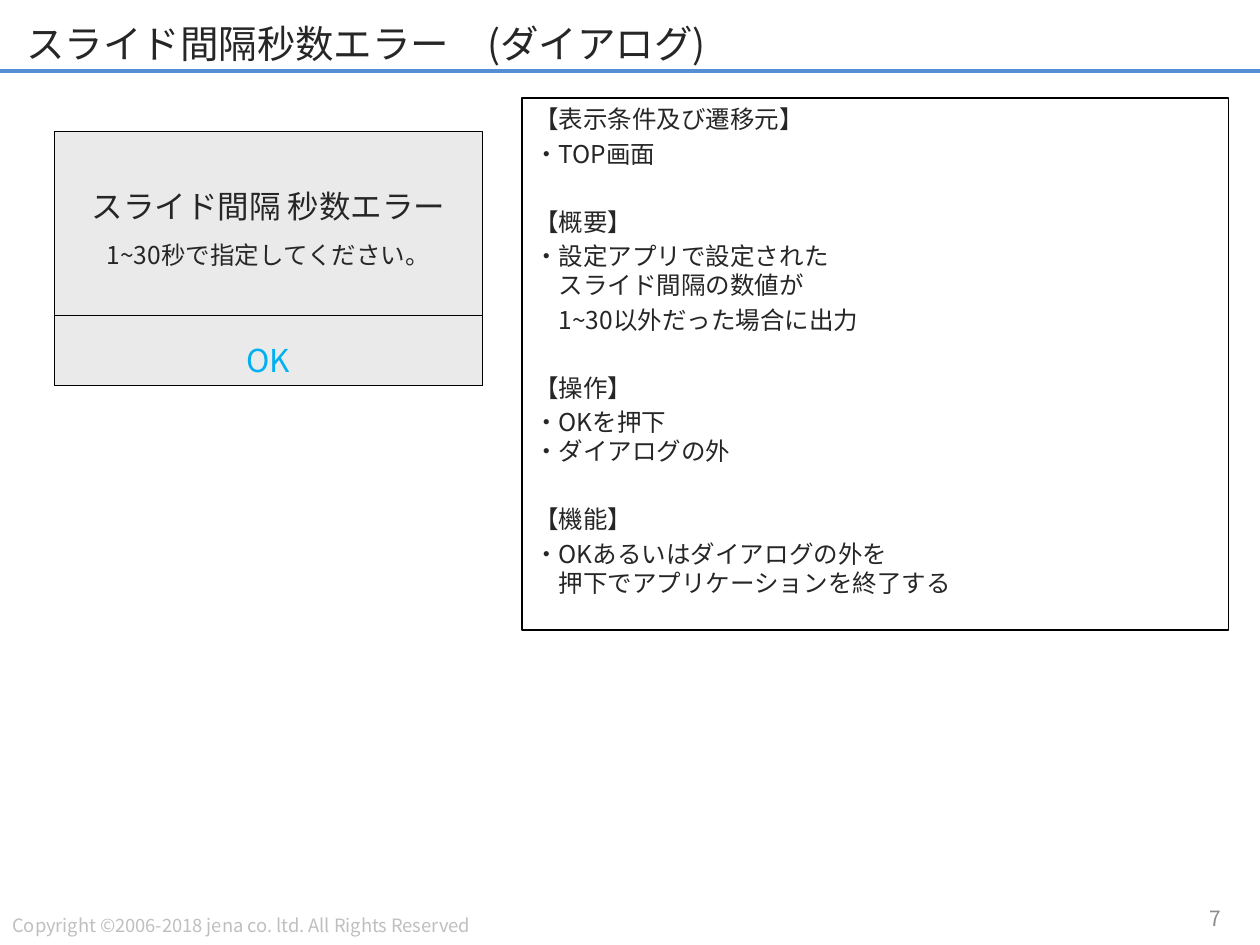
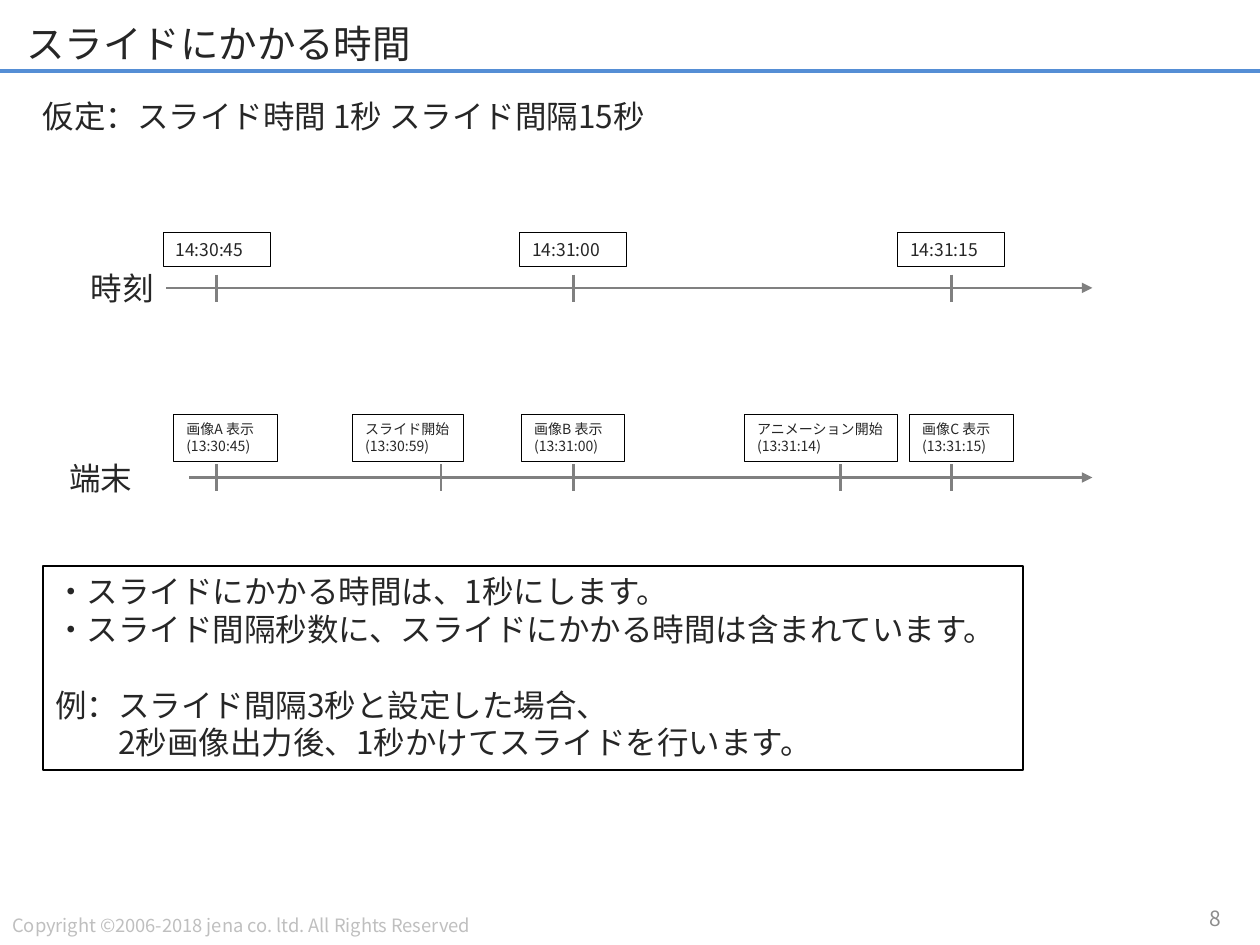
"""Build two specification slides: an error dialog and a slide timing chart."""
from dataclasses import dataclass

from lxml import etree
from pptx import Presentation
from pptx import util as u
from pptx.dml import color
from pptx.enum import shapes, text
from pptx.oxml import ns

COLUMNS, ROWS = 100, 75
FONT = "Noto Sans CJK JP"
INK, BLACK, WHITE, PANEL = "262626", "000000", "FFFFFF", "EAEAEA"
AXIS, BAND, FOOTER, NUMBER, ACTION = "808080", "558ED5", "BFBFBF", "8C8C8C", "00B0F0"
LEFT, CENTER, RIGHT = text.PP_ALIGN.LEFT, text.PP_ALIGN.CENTER, text.PP_ALIGN.RIGHT
TOP, MIDDLE = text.MSO_ANCHOR.TOP, text.MSO_ANCHOR.MIDDLE

deck = Presentation()
deck.slide_width, deck.slide_height = u.Inches(10), u.Inches(7.5)
CELL_WIDTH, CELL_HEIGHT = deck.slide_width / COLUMNS, deck.slide_height / ROWS


@dataclass
class Area:
    """A rectangle in grid columns and rows."""
    column: float
    row: float
    width: float
    height: float

    def lengths(self) -> tuple[int, int, int, int]:
        """Return left, top, width and height as slide lengths."""
        return (round(self.column * CELL_WIDTH), round(self.row * CELL_HEIGHT),
                round(self.width * CELL_WIDTH), round(self.height * CELL_HEIGHT))


@dataclass
class Line:
    """One paragraph; each phrase after the first follows a line break."""
    phrases: list[str]
    sizes: list[float]
    color: str = INK
    align: text.PP_ALIGN = LEFT
    before: float = 0
    margin: float = 0
    hanging: float = 0
    spacing: float = 1.0


@dataclass
class Mark:
    """A tick on a time axis with its label box."""
    column: float
    label: list[str]
    box_column: float
    box_width: float


@dataclass
class Timeline:
    """A named time axis with its marks."""
    name: str
    name_column: float
    start: float
    row: float
    box_row: float
    box_height: float
    size: float
    marks: list[Mark]


@dataclass
class Section:
    """A heading with the paragraphs below it."""
    heading: str
    items: list[Line]


def rgb(value: str) -> color.RGBColor:
    """Turn a hex string into a colour."""
    return color.RGBColor.from_string(value)


def write(frame, lines: list[Line], anchor=TOP) -> None:
    """Fill a text frame with paragraphs, run by run."""
    frame.word_wrap = True
    frame.auto_size = text.MSO_AUTO_SIZE.NONE
    frame.vertical_anchor = anchor
    for index, line in enumerate(lines):
        para = frame.add_paragraph() if index else frame.paragraphs[0]
        para.alignment, para.line_spacing = line.align, line.spacing
        para.space_before = u.Pt(line.before)
        if line.margin:
            properties = para._p.get_or_add_pPr()
            properties.set("marL", str(u.Pt(line.margin)))
            properties.set("indent", str(-u.Pt(line.hanging)))
        for position, (phrase, size) in enumerate(zip(line.phrases, line.sizes)):
            if position:
                para.add_line_break()
            span = para.add_run()
            span.text = phrase
            span.font.name, span.font.size = FONT, u.Pt(size)
            span.font.color.rgb = rgb(line.color)
            east = etree.SubElement(span.font._element, ns.qn("a:ea"))
            east.set("typeface", FONT)


def add_text(page, area: Area, lines: list[Line], anchor=TOP) -> None:
    """Add a plain text box."""
    write(page.shapes.add_textbox(*area.lengths()).text_frame, lines, anchor)


def add_box(page, area: Area, fill: str, weight: float = 0,
            lines: list[Line] | None = None, anchor=TOP) -> None:
    """Add a rectangle with an optional outline and text."""
    box = page.shapes.add_shape(shapes.MSO_SHAPE.RECTANGLE, *area.lengths())
    box.shadow.inherit = False
    box.fill.solid()
    box.fill.fore_color.rgb = rgb(fill)
    if weight:
        box.line.color.rgb, box.line.width = rgb(BLACK), u.Pt(weight)
    else:
        box.line.fill.background()
    if lines:
        box.text_frame.margin_right = 0 if lines[0].align == LEFT else u.Inches(0.1)
        write(box.text_frame, lines, anchor)


def add_line(page, area: Area, tint: str, weight: float, arrow: bool = False) -> None:
    """Add a straight line across an area, with an optional arrowhead."""
    left, top, width, height = area.lengths()
    line = page.shapes.add_connector(shapes.MSO_CONNECTOR.STRAIGHT,
                                     left, top, left + width, top + height)
    line.line.color.rgb, line.line.width = rgb(tint), u.Pt(weight)
    if arrow:
        tail = etree.SubElement(line.line._get_or_add_ln(), ns.qn("a:tailEnd"))
        tail.set("type", "triangle")
    etree.SubElement(line._element.spPr, ns.qn("a:effectLst"))


def add_page(heading: str, number: int):
    """Add a slide with its title, band, copyright line and number."""
    page = deck.slides.add_slide(deck.slide_layouts[5])
    title = page.shapes.title
    title.left, title.top, title.width, title.height = Area(1.1, 0.9, 97.8, 5).lengths()
    write(title.text_frame, [Line([heading], [22])], MIDDLE)
    add_line(page, Area(0, 5.6, COLUMNS, 0), BAND, 2.25)
    notice = "Copyright ©2006-2018 jena co. ltd. All Rights Reserved"
    add_text(page, Area(0, 72.1, 42.3, 2.8), [Line([notice], [10.5], FOOTER)])
    add_text(page, Area(89.1, 70.9, 8.8, 4),
             [Line([str(number)], [12], NUMBER, RIGHT)], MIDDLE)
    return page


def bullet(*phrases: str, hanging: float = 14) -> Line:
    """Return an indented paragraph of a section."""
    return Line(list(phrases), [14] * len(phrases), before=2.8, margin=14, hanging=hanging)


def add_dialog_page() -> None:
    """Build the slide about the interval error dialog."""
    page = add_page("スライド間隔秒数エラー　(ダイアログ)", 7)
    sections = [
        Section("【表示条件及び遷移元】", [bullet("・TOP画面")]),
        Section("【概要】", [bullet("・設定アプリで設定された", "スライド間隔の数値が"),
                         bullet("1~30以外だった場合に出力", hanging=0)]),
        Section("【操作】", [bullet("・OKを押下"), Line(["・ダイアログの外"], [14])]),
        Section("【機能】", [bullet("・OKあるいはダイアログの外を",
                                "押下でアプリケーションを終了する")]),
    ]
    lines = []
    for section in sections:
        lines.append(Line([section.heading], [14], before=22 if lines else 0))
        lines.extend(section.items)
    add_box(page, Area(41.4, 7.8, 56.1, 42.2), WHITE, 1, lines)
    add_box(page, Area(4.3, 10.4, 34, 20.2), PANEL, 0.5)
    message = Line(["スライド間隔 秒数エラー", "1~30秒で指定してください。"], [18, 14],
                   align=CENTER, spacing=1.5)
    add_box(page, Area(5.3, 12.8, 32, 9.1), PANEL, 0, [message], MIDDLE)
    add_box(page, Area(4.3, 25, 34, 5.6), PANEL, 0.5,
            [Line(["OK"], [18], ACTION, CENTER, spacing=1.5)], MIDDLE)


def add_timeline(page, timeline: Timeline) -> None:
    """Draw one time axis with its name, ticks and label boxes."""
    add_text(page, Area(timeline.name_column, timeline.row - 2, 10.2, 4),
             [Line([timeline.name], [18])])
    add_line(page, Area(timeline.start, timeline.row, 86.7 - timeline.start, 0),
             AXIS, 1.5, arrow=True)
    for mark in timeline.marks:
        add_line(page, Area(mark.column, timeline.row - 1.05, 0, 2.15), AXIS, 1.5)
        area = Area(mark.box_column, timeline.box_row, mark.box_width, timeline.box_height)
        sizes = [timeline.size] * len(mark.label)
        add_box(page, area, WHITE, 0.5, [Line(mark.label, sizes)])


def add_timing_page() -> None:
    """Build the slide about the time a transition takes."""
    page = add_page("スライドにかかる時間", 8)
    add_text(page, Area(2.4, 7.2, 95.2, 3.5),
             [Line(["仮定：スライド時間 1秒 スライド間隔15秒"], [18])])
    first, second, third = 17.2, 45.5, 75.5
    times = {first: "14:30:45", second: "14:31:00", third: "14:31:15"}
    clock = [Mark(column, [time], column - 4.25, 8.5) for column, time in times.items()]
    events = [
        Mark(first, ["画像A 表示", "(13:30:45)"], 13.8, 8.2),
        Mark(35, ["スライド開始", "(13:30:59)"], 28, 8.8),
        Mark(second, ["画像B 表示", "(13:31:00)"], 41.4, 8.2),
        Mark(66.7, ["アニメーション開始", "(13:31:14)"], 59.1, 12.1),
        Mark(third, ["画像C 表示", "(13:31:15)"], 72.2, 8.2),
    ]
    add_timeline(page, Timeline("時刻", 6.2, 13.2, 22.85, 18.45, 2.7, 10, clock))
    add_timeline(page, Timeline("端末", 4.5, 15, 37.9, 32.9, 3.7, 8, events))
    add_box(page, Area(3.4, 44.9, 77.8, 16.2), WHITE, 1, [
        Line(["・スライドにかかる時間は、1秒にします。"], [18]),
        Line(["・スライド間隔秒数に、スライドにかかる時間は含まれています。"], [18]),
        Line(["例：スライド間隔3秒と設定した場合、"], [18], before=21.7),
        Line(["2秒画像出力後、1秒かけてスライドを行います。"], [18], margin=36),
    ])


if __name__ == "__main__":
    add_dialog_page()
    add_timing_page()
    deck.save("out.pptx")
